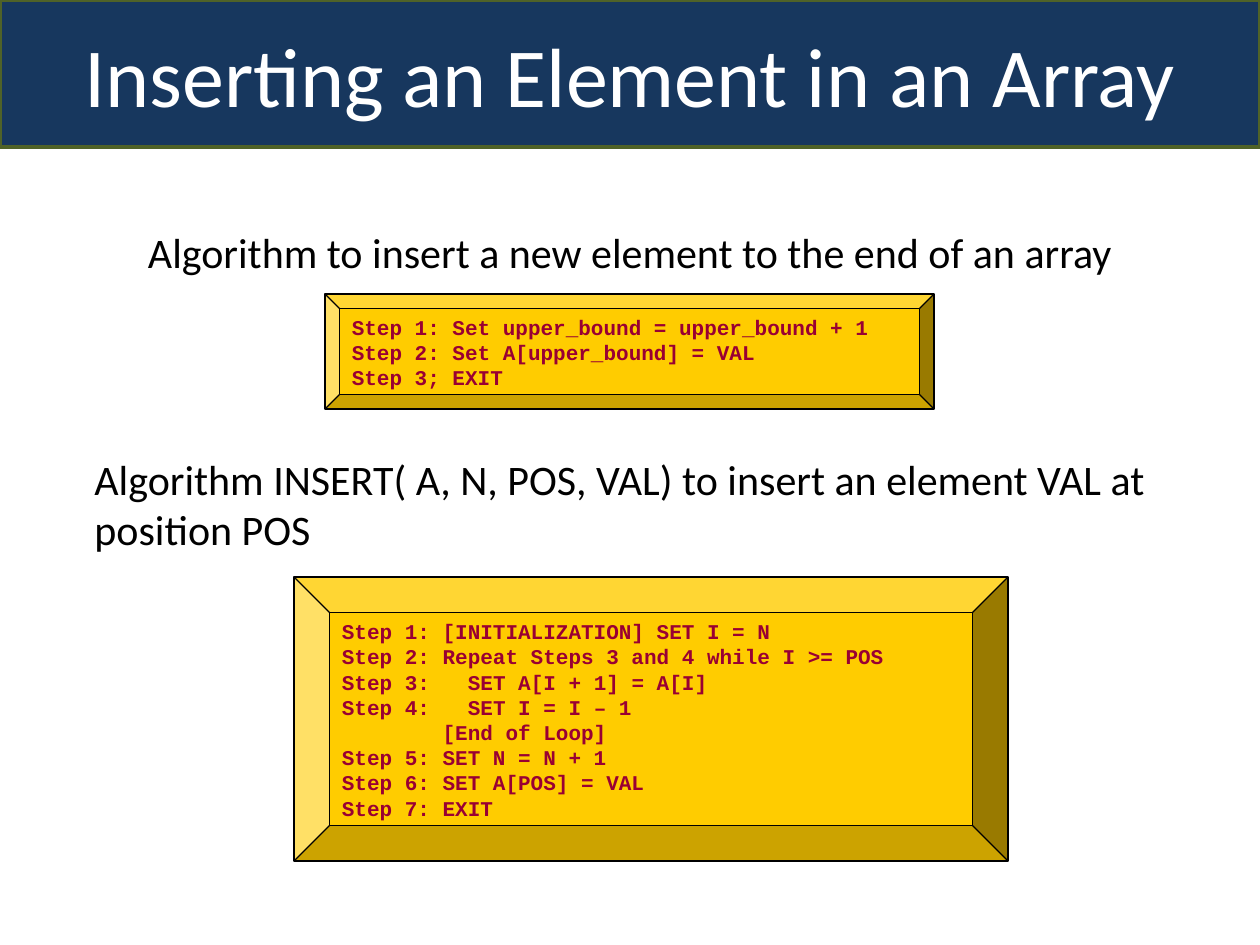
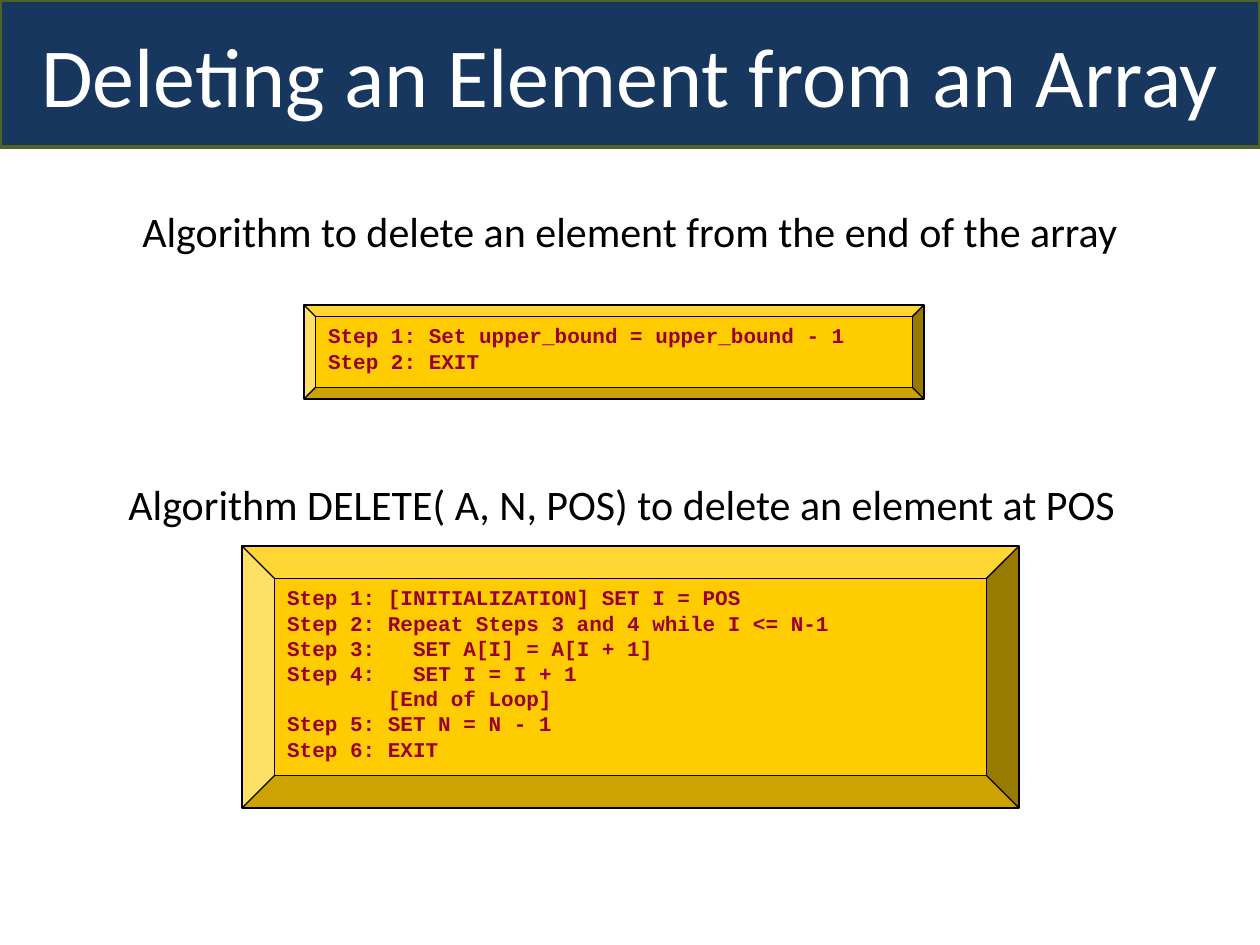
from pptx import Presentation
from pptx.dml.color import RGBColor
from pptx.enum.shapes import MSO_SHAPE
from pptx.enum.text import MSO_ANCHOR, MSO_AUTO_SIZE, PP_ALIGN
from pptx.util import Pt

BEVEL = MSO_SHAPE.BEVEL
TOP, MIDDLE = MSO_ANCHOR.TOP, MSO_ANCHOR.MIDDLE
LEFT, CENTER = PP_ALIGN.LEFT, PP_ALIGN.CENTER
NO_FIT = MSO_AUTO_SIZE.NONE
TITLE_ONLY = 5

SCALE = 914400 / 126  # EMU per px
COLORS = {
    "band": "17375E",
    "band_line": "4F6228",
    "panel": "FFCC00",
    "panel_line": "000000",
    "title": "FFFFFF",
    "caption": "000000",
    "code": "990033",
}
FORMATS = {
    "title": {"name": "Calibri", "size": Pt(48), "bold": False},
    "caption": {"name": "Calibri", "size": Pt(24), "bold": False},
    "code": {"name": "Courier New", "size": Pt(12), "bold": True},
}

# Captions: text, box, alignment, anchor, wrap. Panels: box, code lines.
PAGES = [
    {
        "title": "Inserting an Element in an Array",
        "captions": [
            ("Algorithm to insert a new element to the end of an array",
             (63, 220, 1134, 73), CENTER, TOP, True),
            ("Algorithm INSERT( A, N, POS, VAL) to insert an element VAL at position POS",
             (82, 447, 1104, 114), LEFT, MIDDLE, True),
        ],
        "panels": [
            ((325, 294, 609, 115), [
                "Step 1: Set upper_bound = upper_bound + 1",
                "Step 2: Set A[upper_bound] = VAL",
                "Step 3; EXIT",
            ]),
            ((294, 577, 714, 284), [
                "Step 1: [INITIALIZATION] SET I = N",
                "Step 2: Repeat Steps 3 and 4 while I >= POS",
                "Step 3: \tSET A[I + 1] = A[I]",
                "Step 4: \tSET I = I – 1",
                "        [End of Loop]",
                "Step 5: SET N = N + 1",
                "Step 6: SET A[POS] = VAL",
                "Step 7: EXIT",
            ]),
        ],
    },
    {
        "title": "Deleting an Element from an Array",
        "captions": [
            ("Algorithm to delete an element from the end of the array",
             (126, 199, 1008, 53), CENTER, TOP, True),
            ("Algorithm DELETE( A, N, POS) to delete an element at POS",
             (116, 472, 1013, 63), LEFT, MIDDLE, False),
        ],
        "panels": [
            ((304, 305, 620, 94), [
                "Step 1: Set upper_bound = upper_bound - 1",
                "Step 2: EXIT",
            ]),
            ((242, 546, 777, 262), [
                "Step 1: [INITIALIZATION] SET I = POS",
                "Step 2: Repeat Steps 3 and 4 while I <= N-1",
                "Step 3: \tSET A[I] = A[I + 1]",
                "Step 4: \tSET I = I + 1",
                "        [End of Loop]",
                "Step 5: SET N = N - 1",
                "Step 6: EXIT",
            ]),
        ],
    },
]


def px(*lengths):
    return [round(length * SCALE) for length in lengths]


def write(shape, lines, style, align, anchor, wrap=True):
    frame = shape.text_frame
    frame.word_wrap = wrap
    frame.auto_size = NO_FIT
    frame.vertical_anchor = anchor
    frame.text = "\n".join(lines)
    for para in frame.paragraphs:
        para.alignment = align
        for span in para.runs:
            for key, value in FORMATS[style].items():
                setattr(span.font, key, value)
            span.font.color.rgb = RGBColor.from_string(COLORS[style])


deck = Presentation()
deck.slide_width, deck.slide_height = px(1260, 945)

for content in PAGES:
    page = deck.slides.add_slide(deck.slide_layouts[TITLE_ONLY])

    # Title band
    band = page.shapes.title
    band.left, band.top, band.width, band.height = px(0, 0, 1260, 147)
    write(band, [content["title"]], "title", CENTER, MIDDLE)
    painted = [(band, "band", 2)]

    # Captions
    for text, place, align, anchor, wrap in content["captions"]:
        box = page.shapes.add_textbox(*px(*place))
        write(box, [text], "caption", align, anchor, wrap)

    # Code panels
    for place, lines in content["panels"]:
        panel = page.shapes.add_shape(BEVEL, *px(*place))
        panel.shadow.inherit = False
        write(panel, lines, "code", LEFT, TOP)
        painted.append((panel, "panel", 0.75))

    # Fills and outlines
    for shape, color, weight in painted:
        shape.fill.solid()
        shape.fill.fore_color.rgb = RGBColor.from_string(COLORS[color])
        shape.line.color.rgb = RGBColor.from_string(COLORS[color + "_line"])
        shape.line.width = Pt(weight)

deck.save("out.pptx")
